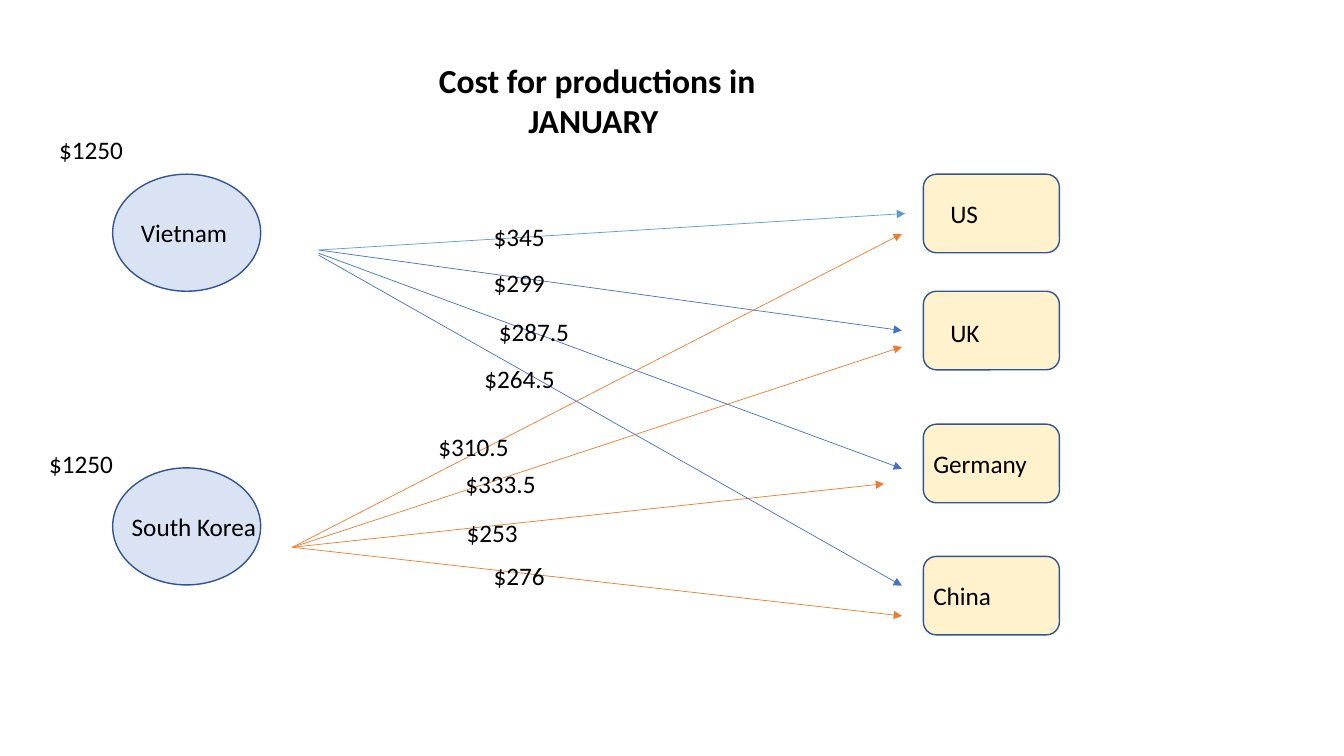
import pptx
import pptx.util
import pptx.dml.color
import pptx.enum.shapes
import pptx.enum.text
import pptx.oxml
import pptx.oxml.ns

Cm = pptx.util.Cm
Pt = pptx.util.Pt
KIND = pptx.enum.shapes.MSO_SHAPE
FONT = "Calibri"
COLORS = {
    "text": "000000", "edge": "325491", "source": "DAE3F3", "market": "FFF2CC",
    "korea": "ED7D31", "viet": "4472C4", "light": "5B9BD5",
}

# Places and costs, all lengths in cm: name, shape top, label left, label top
SOURCES = [("Vietnam", 4.39, 3.3, 5.36), ("South Korea", 11.79, 3.07, 12.75)]
MARKETS = [
    ("US", 4.39, 23.7, 4.88), ("UK", 7.34, 23.7, 7.87),
    ("Germany", 10.69, 23.27, 11.18), ("China", 14.02, 23.27, 14.5),
]
TOTALS = [("$1250", 1.24, 3.25), ("$1250", 0.99, 11.18)]
# Colour, start, end, cost, label left, label top
ROUTES = [
    ("korea", (7.37, 13.79), (22.73, 5.89), "$310.5", 10.8, 10.74),
    ("korea", (7.37, 13.79), (22.73, 8.74), "$333.5", 11.48, 11.68),
    ("korea", (7.37, 13.79), (22.28, 12.19), "$253", 11.51, 12.9),
    ("korea", (7.37, 13.79), (22.73, 15.52), "$276", 12.19, 14.0),
    ("light", (8.03, 6.3), (22.81, 5.38), "$345", 12.19, 5.46),
    ("viet", (8.03, 6.3), (22.73, 8.33), "$299", 12.19, 6.6),
    ("viet", (8.03, 6.38), (22.73, 11.81), "$287.5", 12.32, 7.85),
    ("viet", (8.03, 6.43), (22.73, 14.76), "$264.5", 11.96, 9.02),
]


def color(name):
    return pptx.dml.color.RGBColor.from_string(COLORS[name])


def style(para, size, bold=False):
    para.font.name = FONT
    para.font.size = Pt(size)
    para.font.bold = bold
    para.font.color.rgb = color("text")


def add_title(slide, text):
    title = slide.shapes.title
    title.left, title.top = Cm(10.77), Cm(1.37)
    title.width, title.height = Cm(8.56), Cm(2.31)
    frame = title.text_frame
    frame.text = text
    frame.word_wrap = True
    frame.auto_size = pptx.enum.text.MSO_AUTO_SIZE.NONE
    frame.vertical_anchor = pptx.enum.text.MSO_ANCHOR.TOP
    para = frame.paragraphs[0]
    para.alignment = pptx.enum.text.PP_ALIGN.CENTER
    para.line_spacing = 1.0
    style(para, 24, True)


def add_node(slide, kind, fill, left, top, width, height):
    node = slide.shapes.add_shape(kind, Cm(left), Cm(top), Cm(width), Cm(height))
    node.shadow.inherit = False
    node.fill.solid()
    node.fill.fore_color.rgb = color(fill)
    node.line.color.rgb = color("edge")
    node.line.width = Pt(1)


def add_label(slide, text, left, top, width, wrap=True):
    box = slide.shapes.add_textbox(Cm(left), Cm(top), Cm(width), Cm(1.02))
    frame = box.text_frame
    frame.text = text
    frame.word_wrap = wrap
    frame.auto_size = pptx.enum.text.MSO_AUTO_SIZE.SHAPE_TO_FIT_TEXT
    style(frame.paragraphs[0], 18)


def add_arrow(slide, name, start, end):
    ends = [Cm(value) for value in start + end]
    arrow = slide.shapes.add_connector(
        pptx.enum.shapes.MSO_CONNECTOR.STRAIGHT, *ends)
    arrow.line.color.rgb = color(name)
    arrow.line.width = Pt(0.5)
    # Arrowhead, and an empty effect list against the shadow
    head = pptx.oxml.parse_xml(
        '<a:tailEnd %s type="triangle"/>' % pptx.oxml.ns.nsdecls("a"))
    arrow.line._get_or_add_ln().append(head)
    arrow._element.spPr.append(pptx.oxml.parse_xml(
        "<a:effectLst %s/>" % pptx.oxml.ns.nsdecls("a")))


def main():
    deck = pptx.Presentation()
    deck.slide_width, deck.slide_height = Cm(33.87), Cm(19.05)
    slide = deck.slides.add_slide(deck.slide_layouts[5])
    add_title(slide, "Cost for productions in JANUARY ")

    # Producing countries and their totals
    for name, top, left, line in SOURCES:
        add_node(slide, KIND.OVAL, "source", 2.84, top, 3.73, 2.95)
        add_label(slide, name, left, line, 8.56)
    for text, left, top in TOTALS:
        add_label(slide, text, left, top, 5.31)

    # Markets
    for name, top, left, line in MARKETS:
        add_node(slide, KIND.ROUNDED_RECTANGLE, "market", 23.27, top, 3.43, 1.98)
        add_label(slide, name, left, line, 8.56)

    # Routes first, so that the costs lie above every arrow
    for name, start, end, *_ in ROUTES:
        add_arrow(slide, name, start, end)
    for *_, cost, left, top in ROUTES:
        width = 2.29 if "." in cost else 1.8
        add_label(slide, cost, left, top, width, wrap=False)

    deck.save("out.pptx")


main()
